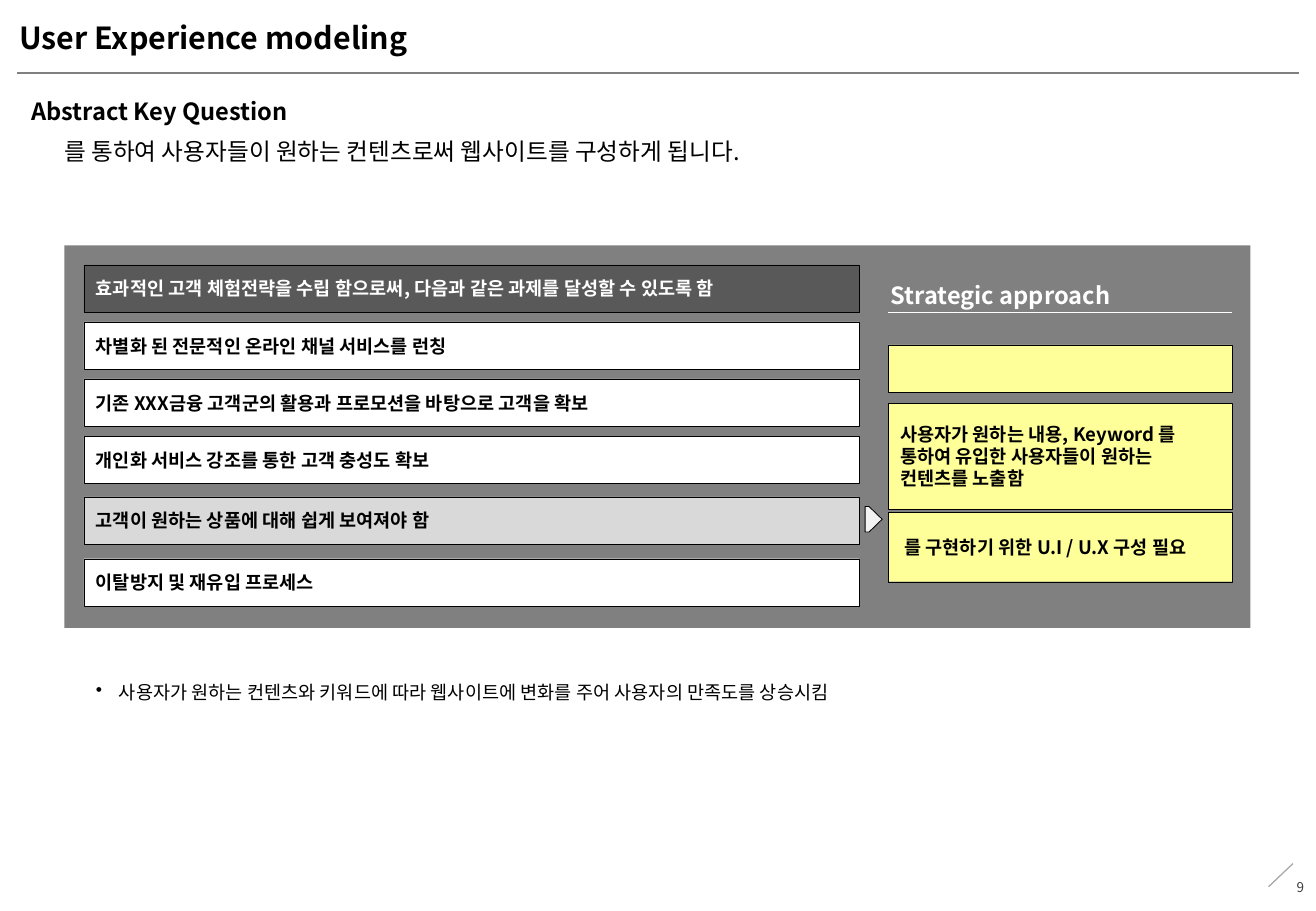
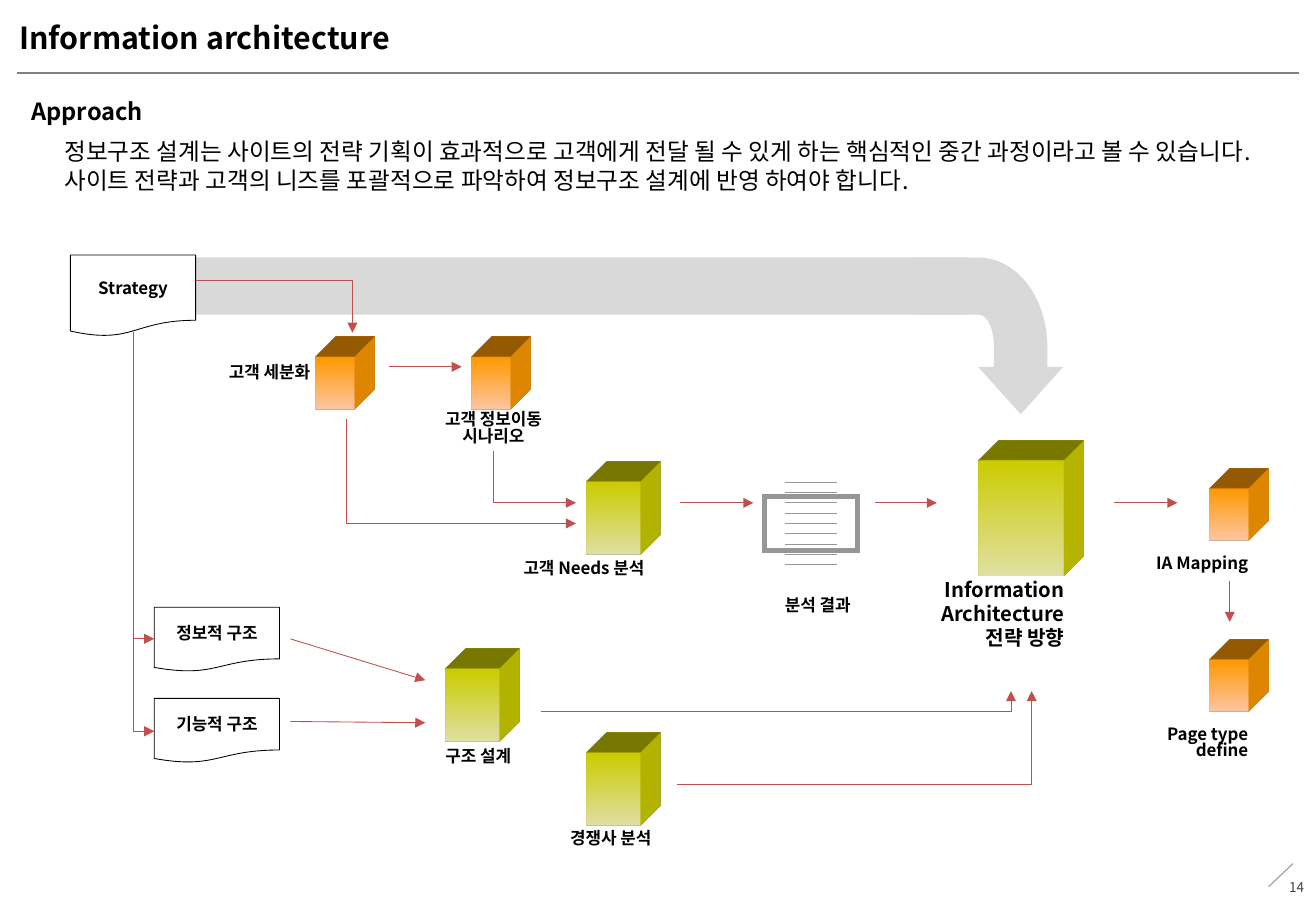
"""Builds two planning slides: user experience modeling and information architecture."""
from dataclasses import dataclass
from typing import NamedTuple

from lxml import etree
from pptx import Presentation
from pptx.dml.color import RGBColor
from pptx.enum.shapes import MSO_CONNECTOR, MSO_SHAPE
from pptx.enum.text import MSO_ANCHOR, PP_ALIGN
from pptx.oxml.ns import qn
from pptx.util import Inches, Pt

RECT, DOCUMENT, PENTAGON = MSO_SHAPE.RECTANGLE, MSO_SHAPE.FLOWCHART_DOCUMENT, MSO_SHAPE.PENTAGON
STRAIGHT, ELBOW = MSO_CONNECTOR.STRAIGHT, MSO_CONNECTOR.ELBOW
LEFT, CENTER, RIGHT = PP_ALIGN.LEFT, PP_ALIGN.CENTER, PP_ALIGN.RIGHT
TOP, MIDDLE = MSO_ANCHOR.TOP, MSO_ANCHOR.MIDDLE

FONT = "Noto Sans CJK KR"
BLACK = RGBColor(0x00, 0x00, 0x00)
WHITE = RGBColor(0xFF, 0xFF, 0xFF)
PANEL_GRAY = RGBColor(0x80, 0x80, 0x80)
SLASH_GRAY = RGBColor(0xA6, 0xA6, 0xA6)
NUMBER_GRAY = RGBColor(0x40, 0x40, 0x40)
HEADER_GRAY = RGBColor(0x59, 0x59, 0x59)
PALE_GRAY = RGBColor(0xD9, 0xD9, 0xD9)
POINTER_GRAY = RGBColor(0xF2, 0xF2, 0xF2)
REPORT_GRAY = RGBColor(0x96, 0x96, 0x96)
YELLOW = RGBColor(0xFF, 0xFF, 0x99)
ARROW_RED = RGBColor(0xC0, 0x50, 0x4D)


class Palette(NamedTuple):
    front: RGBColor
    front_end: RGBColor


ORANGE = Palette(RGBColor(0xFF, 0x99, 0x00), RGBColor(0xFF, 0xC6, 0xA4))
GREEN = Palette(RGBColor(0xCC, 0xCC, 0x00), RGBColor(0xE0, 0xE0, 0xA4))

Point = tuple[float, float]


class Box(NamedTuple):
    left: float
    top: float
    width: float
    height: float

    def emu(self) -> list[int]:
        return [Inches(length) for length in self]


@dataclass(frozen=True)
class TextStyle:
    size: float = 10
    bold: bool = True
    color: RGBColor = BLACK
    align: int = LEFT
    anchor: int = TOP
    spacing: float | None = None
    insets: tuple[float, float, float, float] = (0.1, 0.05, 0.1, 0.05)
    wrap: bool = True
    bullet: str = ""


@dataclass(frozen=True)
class Bar:
    box: Box
    text: str = ""
    fill: RGBColor = WHITE
    color: RGBColor = BLACK


@dataclass(frozen=True)
class Cube:
    box: Box
    palette: Palette


@dataclass(frozen=True)
class Label:
    box: Box
    text: str
    style: TextStyle


TITLE = TextStyle(18, insets=(0, 0.06, 0, 0.06))
SUBTITLE = TextStyle(14)
LEAD = TextStyle(14, bold=False, insets=(0, 0.05, 0.1, 0.05))
PAGE_NUMBER = TextStyle(8, bold=False, color=NUMBER_GRAY, align=RIGHT, anchor=MIDDLE)
DOCUMENT_TEXT = TextStyle(align=CENTER, anchor=MIDDLE, wrap=False)
CENTERED = TextStyle(align=CENTER, spacing=0.8)
FLUSH_RIGHT = TextStyle(align=RIGHT, spacing=0.8)


def add_element(parent, tag: str, **attributes: str):
    """Append a drawing element."""
    element = etree.SubElement(parent, qn(tag))
    for key, value in attributes.items():
        element.set(key, value)
    return element


def write(shape, text: str, style: TextStyle) -> None:
    """Fill a shape with text: newlines part paragraphs, vertical tabs part lines."""
    frame = shape.text_frame
    frame.word_wrap = style.wrap
    frame.vertical_anchor = style.anchor
    frame.margin_left, frame.margin_top, frame.margin_right, frame.margin_bottom = map(
        Inches, style.insets)
    for index, content in enumerate(text.split("\n")):
        paragraph = frame.add_paragraph() if index else frame.paragraphs[0]
        paragraph.alignment = style.align
        if style.spacing:
            paragraph.line_spacing = style.spacing
        if style.bullet:
            properties = paragraph._p.get_or_add_pPr()
            properties.set("marL", str(Inches(0.19)))
            properties.set("indent", str(-Inches(0.19)))
            add_element(properties, "a:buChar", char=style.bullet)
        for line_index, line in enumerate(content.split("\v")):
            if line_index:
                paragraph.add_line_break()
            run = paragraph.add_run()
            run.text = line
            run.font.name, run.font.size = FONT, Pt(style.size)
            run.font.bold, run.font.color.rgb = style.bold, style.color
            add_element(run.font._element, "a:ea", typeface=FONT)


def add_text(slide, box: Box, text: str, style: TextStyle) -> None:
    """Add a text box."""
    write(slide.shapes.add_textbox(*box.emu()), text, style)


def paint(shape, fill: RGBColor | None, line: RGBColor | None = None, width: float = 0.5) -> None:
    """Set fill and outline, with no shadow."""
    shape.shadow.inherit = False
    if fill is None:
        shape.fill.background()
    else:
        shape.fill.solid()
        shape.fill.fore_color.rgb = fill
    if line is None:
        shape.line.fill.background()
    else:
        shape.line.color.rgb = line
        shape.line.width = Pt(width)


def add_shape(slide, kind: int, box: Box, fill: RGBColor,
              line: RGBColor | None = None, width: float = 0.5):
    """Add a painted preset shape."""
    shape = slide.shapes.add_shape(kind, *box.emu())
    paint(shape, fill, line, width)
    return shape


def add_bar(slide, bar: Bar) -> None:
    """Add a bordered bar with its statement."""
    shape = add_shape(slide, RECT, bar.box, bar.fill, BLACK, 0.25)
    if bar.text:
        write(shape, bar.text, TextStyle(11, color=bar.color, anchor=MIDDLE, insets=(0.1, 0, 0.1, 0)))


def add_arrowhead(shape) -> None:
    """Put a triangle at the end of a line."""
    add_element(shape._element.spPr.find(qn("a:ln")), "a:tailEnd", type="triangle")


def add_line(slide, start: Point, end: Point, color: RGBColor, width: float = 0.5,
             arrow: bool = False, kind: int = STRAIGHT):
    """Add a connector."""
    line = slide.shapes.add_connector(kind, *map(Inches, start + end))
    line.line.color.rgb = color
    line.line.width = Pt(width)
    if arrow:
        add_arrowhead(line)
    add_element(line._element.spPr, "a:effectLst")
    return line


def add_branch(slide, start: Point, end: Point) -> None:
    """Add a one-bend connector that runs down, then right."""
    middle_x, middle_y = (start[0] + end[0]) / 2, (start[1] + end[1]) / 2
    half_run, half_rise = (end[1] - start[1]) / 2, (end[0] - start[0]) / 2
    branch = add_line(slide, (middle_x + half_run, middle_y - half_rise),
                      (middle_x - half_run, middle_y + half_rise), ARROW_RED, arrow=True, kind=ELBOW)
    properties = branch._element.spPr
    properties.find(qn("a:xfrm")).set("rot", str(270 * 60000))
    properties.find(qn("a:prstGeom")).set("prst", "bentConnector2")


def add_outline(slide, points: list[Point], closed: bool = True):
    """Add a freeform through the points."""
    start, *others = [(Inches(x), Inches(y)) for x, y in points]
    builder = slide.shapes.build_freeform(*start)
    builder.add_line_segments(others, close=closed)
    return builder.convert_to_shape()


def add_elbow(slide, points: list[Point]) -> None:
    """Add a bent arrow."""
    elbow = add_outline(slide, points, closed=False)
    paint(elbow, None, ARROW_RED)
    add_arrowhead(elbow)


def add_bend(slide) -> None:
    """Add the turning end of the wide arrow."""
    bend = add_outline(slide, [(8.4, 3.41), (8.75, 3.02), (8.62, 3.02), (8.62, 2.86), (8.05, 2.12),
                               (7.52, 2.12), (7.52, 2.59), (8.05, 2.59), (8.18, 2.86),
                               (8.18, 3.02), (8.05, 3.02)])
    paint(bend, PALE_GRAY)
    segments = bend._element.spPr.findall(".//" + qn("a:lnTo"))
    for index, controls in [(3, [(8.62, 2.45), (8.37, 2.12)]), (7, [(8.13, 2.59), (8.18, 2.71)])]:
        segment = segments[index]
        curve = etree.Element(qn("a:cubicBezTo"))
        for x, y in controls:
            add_element(curve, "a:pt", x=str(Inches(x) - bend.left), y=str(Inches(y) - bend.top))
        curve.append(segment[0])
        segment.getparent().replace(segment, curve)


def add_cube(slide, cube: Cube) -> None:
    """Add a gradient rectangle extruded to the upper right."""
    front = add_shape(slide, RECT, cube.box, cube.palette.front)
    front.fill.gradient()
    front.fill.gradient_angle = 270
    for position, stop in enumerate(front.fill.gradient_stops):
        stop.position = position
        stop.color.rgb = cube.palette[position]
    properties = front._element.spPr
    scene = add_element(properties, "a:scene3d")
    add_element(scene, "a:camera", prst="legacyObliqueTopRight")
    add_element(scene, "a:lightRig", rig="legacyFlat3", dir="b")
    solid = add_element(properties, "a:sp3d", extrusionH="430200", prstMaterial="legacyMatte")
    for bevel in ("a:bevelT", "a:bevelB"):
        add_element(solid, bevel, w="13500", h="13500", prst="angle")
    add_element(add_element(solid, "a:extrusionClr"), "a:srgbClr", val=str(cube.palette.front))


def start_slide(deck, title: str, subtitle: str, lead: str, number: int):
    """Add a slide with the shared heading and footer."""
    slide = deck.slides.add_slide(deck.slide_layouts[6])
    add_line(slide, (0.14, 0.6), (10.69, 0.6), PANEL_GRAY, 0.75)
    add_line(slide, (10.64, 7.11), (10.44, 7.3), SLASH_GRAY, 0.75)
    add_text(slide, Box(10.22, 7.1, 0.61, 0.4), str(number), PAGE_NUMBER)
    add_text(slide, Box(0.16, 0.1, 8.09, 0.42), title, TITLE)
    add_text(slide, Box(0.16, 0.75, 10.54, 0.34), subtitle, SUBTITLE)
    add_text(slide, Box(0.53, 1.08, 10.16, 0.34 + 0.23 * lead.count("\n")), lead, LEAD)
    return slide


def build_experience(deck) -> None:
    """Build the user experience slide."""
    slide = start_slide(deck, "User Experience modeling", "Abstract Key Question",
                        "를 통하여 사용자들이 원하는 컨텐츠로써 웹사이트를 구성하게 됩니다.", 9)
    add_shape(slide, RECT, Box(0.53, 2.02, 9.76, 3.15), PANEL_GRAY)
    add_text(slide, Box(0.69, 5.56, 9.61, 0.29),
             "사용자가 원하는 컨텐츠와 키워드에 따라 웹사이트에 변화를 주어 사용자의 만족도를 상승시킴",
             TextStyle(11, bold=False, bullet="•"))
    add_text(slide, Box(7.23, 2.17, 2.67, 0.43), "Strategic approach",
             TextStyle(14, color=WHITE, spacing=1.4))
    add_line(slide, (7.31, 2.57), (10.14, 2.57), WHITE)
    pointer = add_shape(slide, PENTAGON, Box(7.12, 4.17, 0.14, 0.21), POINTER_GRAY, BLACK)
    pointer.adjustments[0] = 0.77

    tasks = [
        (2.18, "효과적인 고객 체험전략을 수립 함으로써, 다음과 같은 과제를 달성할 수 있도록 함",
         HEADER_GRAY, WHITE),
        (2.65, "차별화 된 전문적인 온라인 채널 서비스를 런칭", WHITE, BLACK),
        (3.12, "기존 XXX금융 고객군의 활용과 프로모션을 바탕으로 고객을 확보", WHITE, BLACK),
        (3.59, "개인화 서비스 강조를 통한 고객 충성도 확보", WHITE, BLACK),
        (4.09, "고객이 원하는 상품에 대해 쉽게 보여져야 함", PALE_GRAY, BLACK),
        (4.6, "이탈방지 및 재유입 프로세스", WHITE, BLACK),
    ]
    approaches = [
        (2.84, 0.39, ""),
        (3.32, 0.87, "사용자가 원하는 내용, Keyword 를 통하여 유입한 사용자들이 원하는 컨텐츠를 노출함"),
        (4.22, 0.57, " 를 구현하기 위한 U.I / U.X 구성 필요"),
    ]
    bars = [Bar(Box(0.69, top, 6.38, 0.39), text, fill, color) for top, text, fill, color in tasks]
    bars += [Bar(Box(7.31, top, 2.83, height), text, YELLOW) for top, height, text in approaches]
    for bar in bars:
        add_bar(slide, bar)


def build_architecture(deck) -> None:
    """Build the information architecture slide."""
    slide = start_slide(
        deck, "Information architecture", "Approach",
        "정보구조 설계는 사이트의 전략 기획이 효과적으로 고객에게 전달 될 수 있게 하는 핵심적인 중간 과정이라고 볼 수 있습니다.\n"
        "사이트 전략과 고객의 니즈를 포괄적으로 파악하여 정보구조 설계에 반영 하여야 합니다.", 14)
    add_shape(slide, RECT, Box(1.6, 2.12, 6.36, 0.47), PALE_GRAY)
    add_bend(slide)
    for box, text in [(Box(0.58, 2.1, 1.03, 0.67), "Strategy"),
                      (Box(1.27, 5, 1.03, 0.53), "정보적 구조"),
                      (Box(1.27, 5.75, 1.03, 0.53), "기능적 구조")]:
        write(add_shape(slide, DOCUMENT, box, WHITE, BLACK), text, DOCUMENT_TEXT)

    report = add_shape(slide, RECT, Box(6.29, 4.09, 0.77, 0.44), WHITE, REPORT_GRAY, 3)
    add_element(report._element.spPr.find(qn("a:ln")), "a:miter", lim="800000")
    for row in range(9):
        height = 3.97 + 0.085 * row
        add_line(slide, (6.46, height), (6.89, height), REPORT_GRAY)

    cubes = [Cube(Box(left, top, 0.32, 0.43), ORANGE)
             for left, top in [(2.6, 2.94), (3.88, 2.94), (9.95, 4.02), (9.95, 5.43)]]
    cubes += [Cube(Box(left, top, 0.44, 0.6), GREEN)
              for left, top in [(4.83, 3.97), (3.67, 5.51), (4.83, 6.2)]]
    cubes.append(Cube(Box(8.05, 3.79, 0.7, 0.95), GREEN))
    for cube in cubes:
        add_cube(slide, cube)

    for label in [
        Label(Box(3.1, 3.35, 1.92, 0.4), "고객 정보이동\n시나리오", CENTERED),
        Label(Box(1.31, 2.96, 1.34, 0.25), "고객 세분화", FLUSH_RIGHT),
        Label(Box(3.85, 4.57, 1.55, 0.25), "고객 Needs 분석", FLUSH_RIGHT),
        Label(Box(3.28, 6.12, 1.31, 0.25), "구조 설계", CENTERED),
        Label(Box(4.25, 6.8, 1.55, 0.25), "경쟁사 분석", CENTERED),
        Label(Box(6.32, 4.85, 0.82, 0.29), "분석 결과", TextStyle(align=CENTER, wrap=False)),
        Label(Box(7.31, 4.7, 1.55, 0.76), "Information\vArchitecture\n전략 방향",
              TextStyle(12, align=RIGHT)),
        Label(Box(9.17, 4.53, 1.2, 0.25), "IA Mapping", FLUSH_RIGHT),
        Label(Box(9.17, 5.94, 1.2, 0.4), "Page type define", FLUSH_RIGHT),
    ]:
        add_text(slide, label.box, label.text, label.style)

    for start, end in [((3.2, 3.02), (3.8, 3.02)), ((2.39, 5.94), (3.5, 5.95)),
                       ((2.39, 5.26), (3.5, 5.6)), ((5.6, 4.14), (6.2, 4.14)),
                       ((7.2, 4.14), (7.71, 4.14)), ((9.17, 4.14), (9.69, 4.14)),
                       ((10.12, 4.78), (10.12, 5.12))]:
        add_line(slide, start, end, ARROW_RED, arrow=True)
    for height in (5.26, 6.02):
        add_branch(slide, (1.1, 2.73), (1.27, height))
    for points in [[(1.61, 2.31), (2.9, 2.31), (2.9, 2.74)],
                   [(2.85, 3.45), (2.85, 4.31), (4.74, 4.31)],
                   [(4.06, 3.71), (4.06, 4.14), (4.74, 4.14)],
                   [(4.45, 5.86), (8.32, 5.86), (8.32, 5.69)],
                   [(5.57, 6.46), (8.49, 6.46), (8.49, 5.69)]]:
        add_elbow(slide, points)


def main() -> None:
    """Build and save the deck."""
    deck = Presentation()
    deck.slide_width, deck.slide_height = Inches(10.83), Inches(7.5)
    build_experience(deck)
    build_architecture(deck)
    deck.save("out.pptx")


if __name__ == "__main__":
    main()
